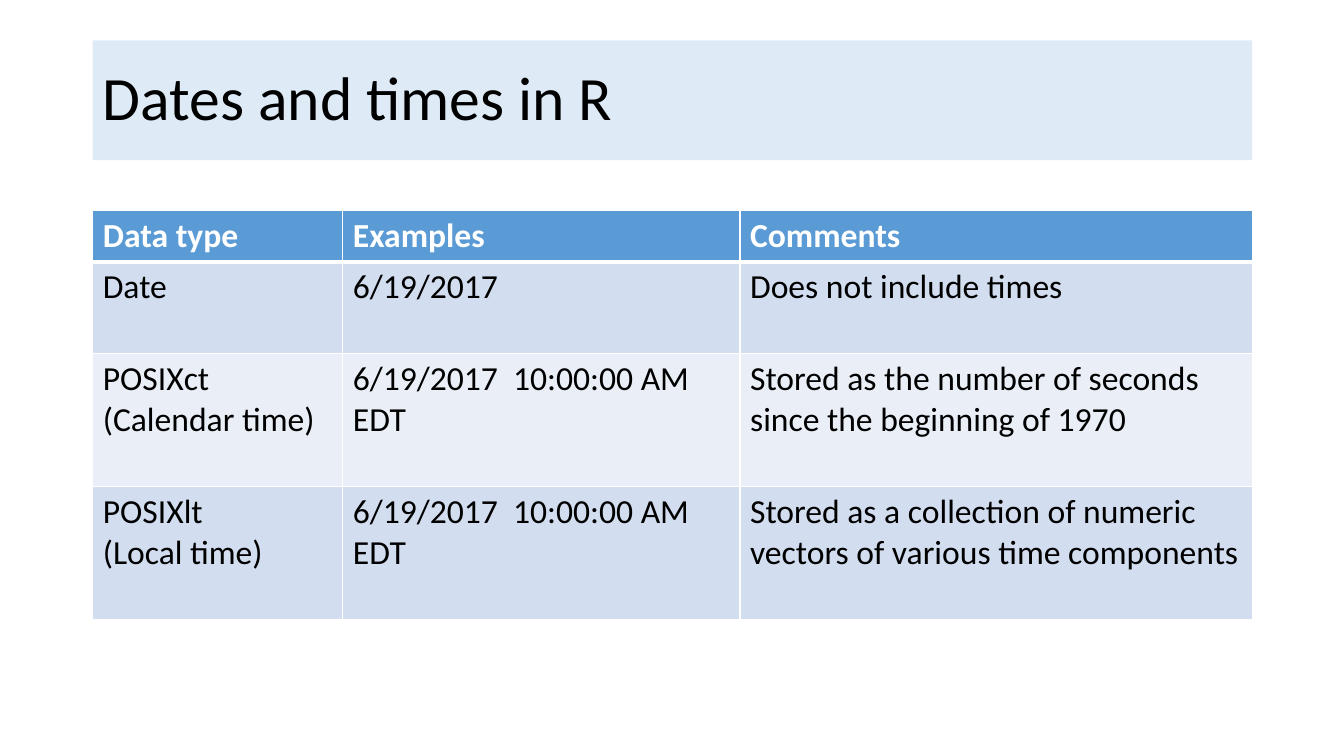
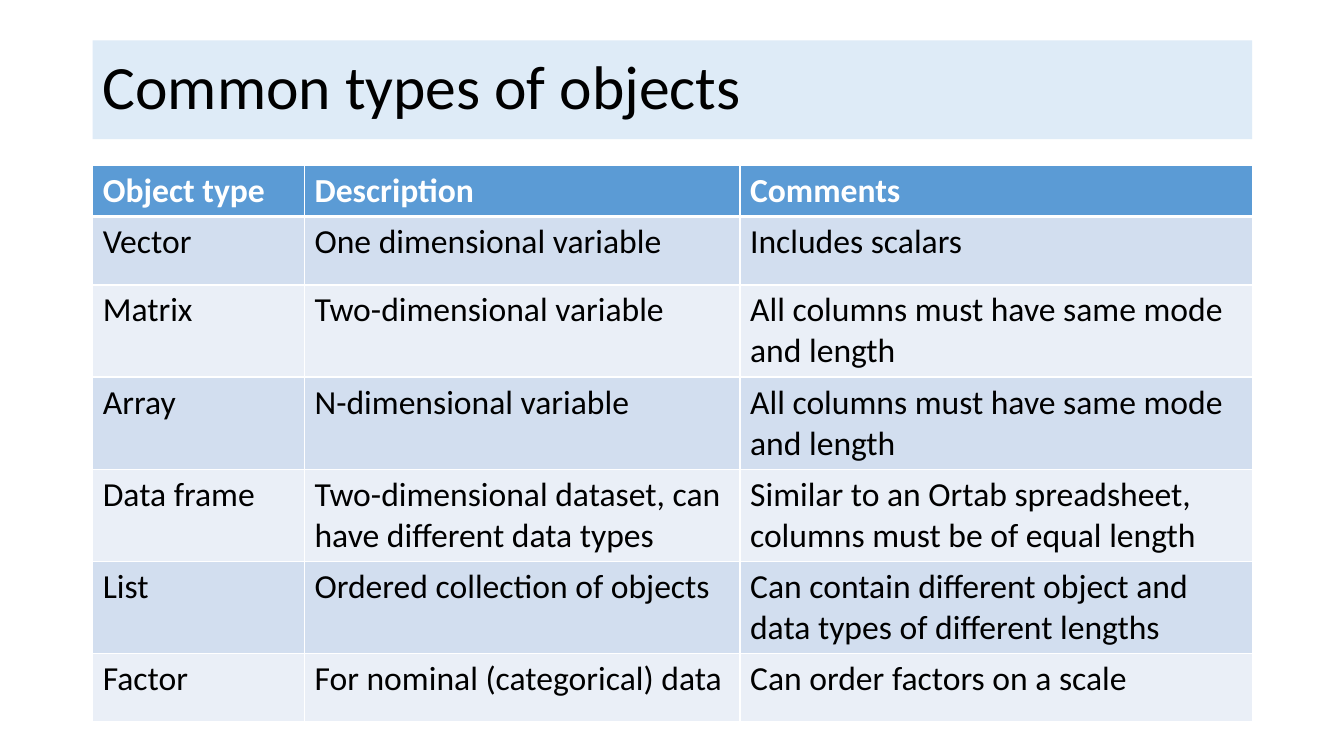
from lxml import etree
from pptx import Presentation
from pptx import util as u
from pptx.dml.color import RGBColor
from pptx.enum import shapes, text
from pptx.oxml import ns

WHITE = RGBColor(0xFF, 0xFF, 0xFF)
BLACK = RGBColor(0, 0, 0)
PALE = RGBColor(0xDE, 0xEB, 0xF7)
BLUE = RGBColor(0x5B, 0x9B, 0xD5)
BANDS = RGBColor(0xEA, 0xEF, 0xF7), RGBColor(0xD2, 0xDE, 0xEF)

LEFT, TOP, WIDTH = 0.92, 0.4, 11.5
TITLE = {"size": u.Pt(44), "bold": False}
HEAD = {"size": u.Pt(24), "bold": True, "color": WHITE}
BODY = {"size": u.Pt(24), "bold": False}

MOMENT = "6/19/2017  10:00:00 AM EDT"
SAME = "All columns must have same mode and length"

SLIDES = [
    {
        "title": "Dates and times in R",
        "band": 1.19,
        "top": 2.09,
        "cols": [2.48, 3.94, 5.08],
        "rows": [0.5, 0.91, 1.32, 1.32],
        "cells": [
            ("Data type", "Examples", "Comments"),
            ("Date", "6/19/2017", "Does not include times"),
            ("POSIXct\n(Calendar time)", MOMENT,
             "Stored as the number of seconds since the beginning of 1970"),
            ("POSIXlt\n(Local time)", MOMENT,
             "Stored as a collection of numeric vectors of various time components"),
        ],
    },
    {
        "title": "Common types of objects",
        "band": 0.98,
        "top": 1.64,
        "cols": [2.1, 4.32, 5.08],
        "rows": [0.5, 0.68] + [0.91] * 4 + [0.68],
        "cells": [
            ("Object type", "Description", "Comments"),
            ("Vector", "One dimensional variable", "Includes scalars"),
            ("Matrix", "Two-dimensional variable", SAME),
            ("Array", "N-dimensional variable", SAME),
            ("Data frame", "Two-dimensional dataset, can have different data types",
             "Similar to an Ortab spreadsheet, columns must be of equal length"),
            ("List", "Ordered collection of objects",
             "Can contain different object and data types of different lengths"),
            ("Factor", "For nominal (categorical) data", "Can order factors on a scale"),
        ],
    },
]


class Deck:
    def __init__(self):
        self.show = Presentation()
        self.show.slide_width = u.Inches(13.33)
        self.show.slide_height = u.Inches(7.5)
        self.slide = None

    def page(self):
        self.slide = self.show.slides.add_slide(self.show.slide_layouts[6])

    def label(self, frame, words, style):
        look = {"name": "Calibri", "color": BLACK, **style}
        color = look.pop("color")
        frame.text = words
        for para in frame.paragraphs:
            for run in para.runs:
                for key, value in look.items():
                    setattr(run.font, key, value)
                run.font.color.rgb = color

    def title(self, words, height):
        box = self.slide.shapes.add_shape(
            shapes.MSO_SHAPE.RECTANGLE,
            *map(u.Inches, (LEFT, TOP, WIDTH, height)))
        box.shadow.inherit = False
        box.fill.solid()
        box.fill.fore_color.rgb = PALE
        box.line.fill.background()
        frame = box.text_frame
        frame.word_wrap = True
        frame.vertical_anchor = text.MSO_ANCHOR.MIDDLE
        self.label(frame, words, TITLE)
        para = frame.paragraphs[0]
        para.alignment = text.PP_ALIGN.LEFT
        para.line_spacing = 0.9

    def border(self, cell, row):
        props = cell._tc.get_or_add_tcPr()
        widths = {"L": 1, "R": 1, "T": 3 if row == 1 else 1, "B": 3 if row == 0 else 1}
        for side, width in widths.items():
            line = etree.SubElement(props, ns.qn(f"a:ln{side}"), w=str(u.Pt(width)))
            fill = etree.SubElement(line, ns.qn("a:solidFill"))
            etree.SubElement(fill, ns.qn("a:srgbClr"), val=str(WHITE))

    def table(self, top, cols, rows, cells):
        grid = self.slide.shapes.add_table(
            len(rows), len(cols),
            *map(u.Inches, (LEFT, top, WIDTH, sum(rows)))).table
        for col, width in zip(grid.columns, cols):
            col.width = u.Inches(width)
        for r, (row, height) in enumerate(zip(grid.rows, rows)):
            row.height = u.Inches(height)
            for cell, words in zip(row.cells, cells[r]):
                self.border(cell, r)
                cell.fill.solid()
                cell.fill.fore_color.rgb = BANDS[r % 2] if r else BLUE
                self.label(cell.text_frame, words, BODY if r else HEAD)


def main():
    deck = Deck()
    for data in SLIDES:
        deck.page()
        deck.title(data["title"], data["band"])
        deck.table(data["top"], data["cols"], data["rows"], data["cells"])
    deck.show.save("out.pptx")


if __name__ == "__main__":
    main()
